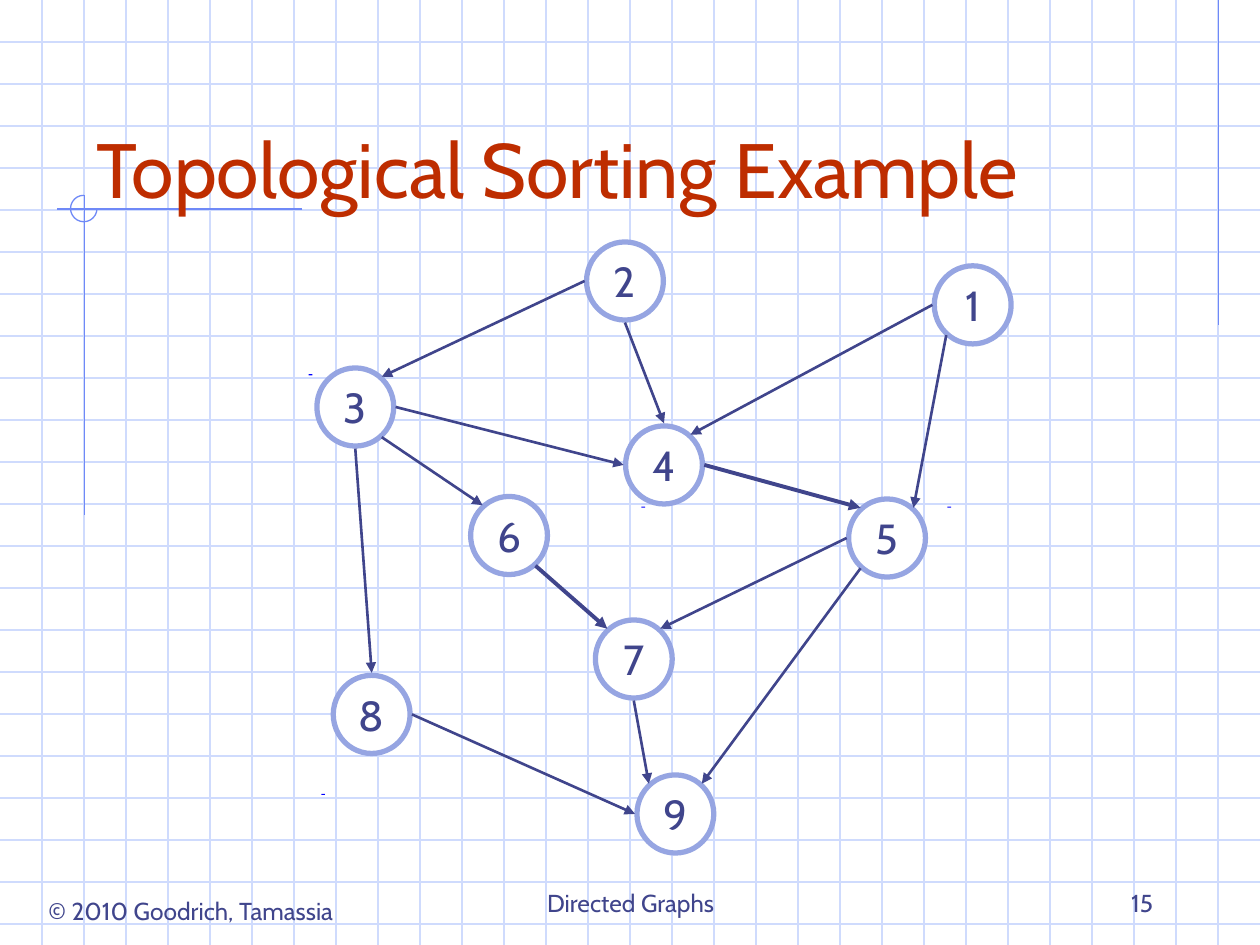
from dataclasses import dataclass

from lxml import etree
from pptx import Presentation
from pptx.dml.color import RGBColor
from pptx.enum.shapes import MSO_CONNECTOR, MSO_SHAPE
from pptx.enum.text import MSO_ANCHOR, PP_ALIGN
from pptx.oxml.ns import qn
from pptx.util import Inches, Pt

STRAIGHT = MSO_CONNECTOR.STRAIGHT
OVAL, RECT, ARC = MSO_SHAPE.OVAL, MSO_SHAPE.RECTANGLE, MSO_SHAPE.ARC
LEFT, CENTER, RIGHT = PP_ALIGN.LEFT, PP_ALIGN.CENTER, PP_ALIGN.RIGHT
TOP, MIDDLE, BOTTOM = MSO_ANCHOR.TOP, MSO_ANCHOR.MIDDLE, MSO_ANCHOR.BOTTOM


@dataclass(frozen=True)
class Theme:
    """Colours, font and sizes of the slide."""
    font: str = "Cabin"
    title: str = "BE2D00"
    ink: str = "40458C"
    ring: str = "96A5E2"
    grid: str = "CFDBFD"
    rule: str = "6F89F7"
    mark: str = "0000FF"
    paper: str = "FFFFFF"
    title_pt: int = 44
    node_pt: int = 24
    footer_pt: int = 14
    thin: float = 0.75
    edge: float = 1.5
    bold_edge: float = 2.25
    ring_pt: int = 3


T = Theme()

NODE_W, NODE_H = 0.61, 0.62
PORTS = {
    "t": (0, -0.33), "b": (0, 0.33), "l": (-0.32, 0), "r": (0.32, 0),
    "tl": (-0.21, -0.24), "tr": (0.21, -0.24),
    "bl": (-0.21, 0.24), "br": (0.21, 0.24),
}
NODES = {
    1: (5.32, 0.52), 2: (2.56, 0.33), 3: (0.42, 1.33),
    4: (2.87, 1.79), 5: (4.64, 2.37), 6: (1.64, 2.35),
    7: (2.63, 3.33), 8: (0.55, 3.77), 9: (2.96, 4.56),
}
EDGES = [
    (2, "l", 3, "tr"), (2, "b", 4, "t"), (1, "l", 4, "tr"),
    (5, "l", 7, "tr"), (5, "bl", 9, "tr"), (8, "r", 9, "l"),
    (7, "b", 9, "tl"), (6, "br", 7, "tl"), (3, "br", 6, "tl"),
    (3, "b", 8, "t"), (3, "r", 4, "l"), (4, "r", 5, "tl"),
    (1, "bl", 5, "tr"),
]
BOLD_EDGES = {(6, 7), (4, 5)}
MARKS = [(0.05, 1.07), (2.69, 2.12), (5.12, 2.12), (0.15, 4.4)]


def rgb(value):
    """Turn a hex string into a colour."""
    return RGBColor.from_string(value)


def add_line(s, start, end, color, width, arrow=False):
    """Draw a straight line, with an arrowhead at its end if asked."""
    line = s.shapes.add_connector(STRAIGHT, *map(Inches, (*start, *end)))
    line.line.color.rgb = rgb(color)
    line.line.width = Pt(width)
    etree.SubElement(line._element.spPr, qn("a:effectLst"))
    if arrow:
        ln = line.line._get_or_add_ln()
        etree.SubElement(ln, qn("a:tailEnd"), type="triangle")


def add_shape(s, kind, box, fill=None, line=None, width=0.75):
    """Add a flat preset shape."""
    sp = s.shapes.add_shape(kind, *map(Inches, box))
    sp.shadow.inherit = False
    if fill:
        sp.fill.solid()
        sp.fill.fore_color.rgb = rgb(fill)
    else:
        sp.fill.background()
    if line:
        sp.line.color.rgb = rgb(line)
        sp.line.width = Pt(width)
    else:
        sp.line.fill.background()
    return sp


def set_text(sp, text, size, color, align, anchor, wrap=True):
    """Fill a shape with one styled paragraph."""
    tf = sp.text_frame
    tf.word_wrap = wrap
    tf.vertical_anchor = anchor
    tf.text = text
    p = tf.paragraphs[0]
    p.alignment = align
    font = p.runs[0].font
    font.name, font.size, font.color.rgb = T.font, Pt(size), rgb(color)


def add_text(s, box, text, size, color, align, anchor, wrap=True):
    """Add a text box."""
    sp = s.shapes.add_textbox(*map(Inches, box))
    set_text(sp, text, size, color, align, anchor, wrap)


def add_graph_paper(s, box):
    """Rule the box in squares of a third of an inch."""
    x, y, w, h = box
    for i in range(1, int(h * 3) + 1):
        add_line(s, (x, y + i / 3), (x + w, y + i / 3), T.grid, T.thin)
    for i in range(1, int(w * 3)):
        add_line(s, (x + i / 3, y), (x + i / 3, y + h), T.grid, T.thin)


def add_margin_rules(s, box):
    """Draw the margin rules and the open circle where they cross."""
    x, y, w, _ = box
    right = x + w - 0.33
    add_line(s, (right, y), (right, y + 2.58), T.rule, T.thin)
    add_line(s, (x + 2.4, y + 1.66), (x + 0.45, y + 1.66), T.rule, T.thin)
    add_line(s, (x + 0.67, y + 1.55), (x + 0.67, y + 4.09), T.rule, T.thin)
    arc = add_shape(s, ARC, (x + 0.56, y + 1.55, 0.21, 0.21),
                    line=T.rule, width=T.thin)
    arc.adjustments[0] = 0
    arc.adjustments[1] = 162


def add_footer(s, box):
    """Place the credit, the chapter name and the page number."""
    x, y, _, _ = box
    style = (T.footer_pt, T.ink)
    add_text(s, (x, y + 0.23, 2.71, 0.34), "© 2010 Goodrich, Tamassia",
             *style, CENTER, TOP, False)
    add_text(s, (x + 3.26, y, 3.17, 0.5), "Directed Graphs",
             *style, CENTER, BOTTOM)
    add_text(s, (x + 7.01, y, 2.08, 0.5), "15", *style, RIGHT, BOTTOM)


def add_graph(s, box):
    """Draw the numbered nodes, the arrows between them and the small marks."""
    x, y, _, _ = box
    for mx, my in MARKS:
        add_shape(s, RECT, (x + mx, y + my, 0.03, 0.01), T.mark)
    for number, (cx, cy) in NODES.items():
        left, top = x + cx - NODE_W / 2, y + cy - NODE_H / 2
        node = add_shape(s, OVAL, (left, top, NODE_W, NODE_H),
                         T.paper, T.ring, T.ring_pt)
        set_text(node, str(number), T.node_pt, T.ink, CENTER, MIDDLE, False)

    def port(number, side):
        """Give the point on one side of a node."""
        (cx, cy), (dx, dy) = NODES[number], PORTS[side]
        return x + cx + dx, y + cy + dy

    for a, a_side, b, b_side in EDGES:
        width = T.bold_edge if (a, b) in BOLD_EDGES else T.edge
        add_line(s, port(a, a_side), port(b, b_side), T.ink, width, True)


def main():
    """Build the slide and save it."""
    prs = Presentation()
    prs.slide_width, prs.slide_height = Inches(10), Inches(7.5)
    s = prs.slides.add_slide(prs.slide_layouts[6])
    page = (0, 0, 10, 7.5)
    add_graph_paper(s, page)
    add_margin_rules(s, page)
    add_footer(s, (0.16, 6.83, 9.09, 0.57))
    add_text(s, (0.67, 0.5, 8.5, 1.25), "Topological Sorting Example",
             T.title_pt, T.title, LEFT, BOTTOM)
    add_graph(s, (2.4, 1.9, 5.7, 4.9))
    prs.save("out.pptx")


if __name__ == "__main__":
    main()
